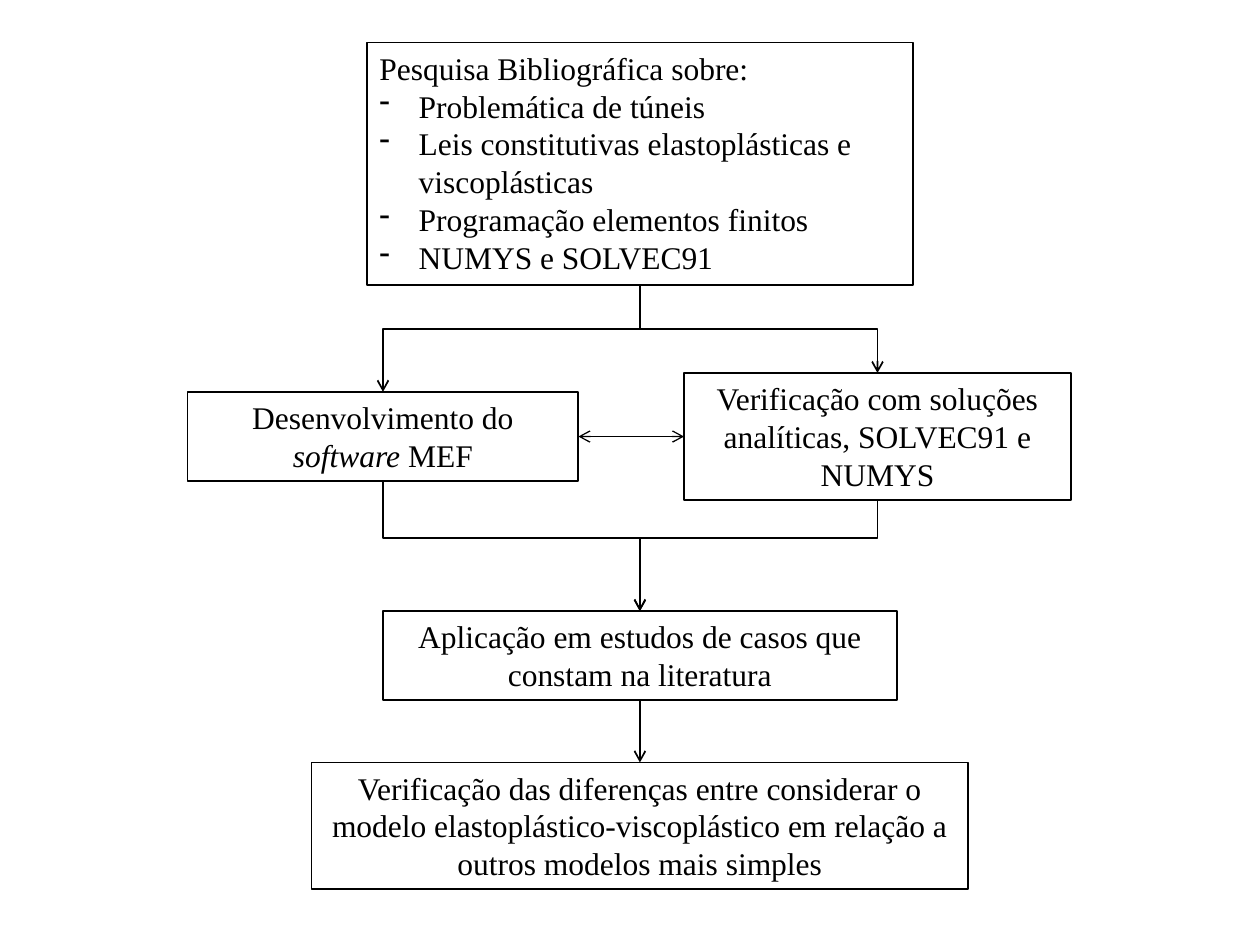
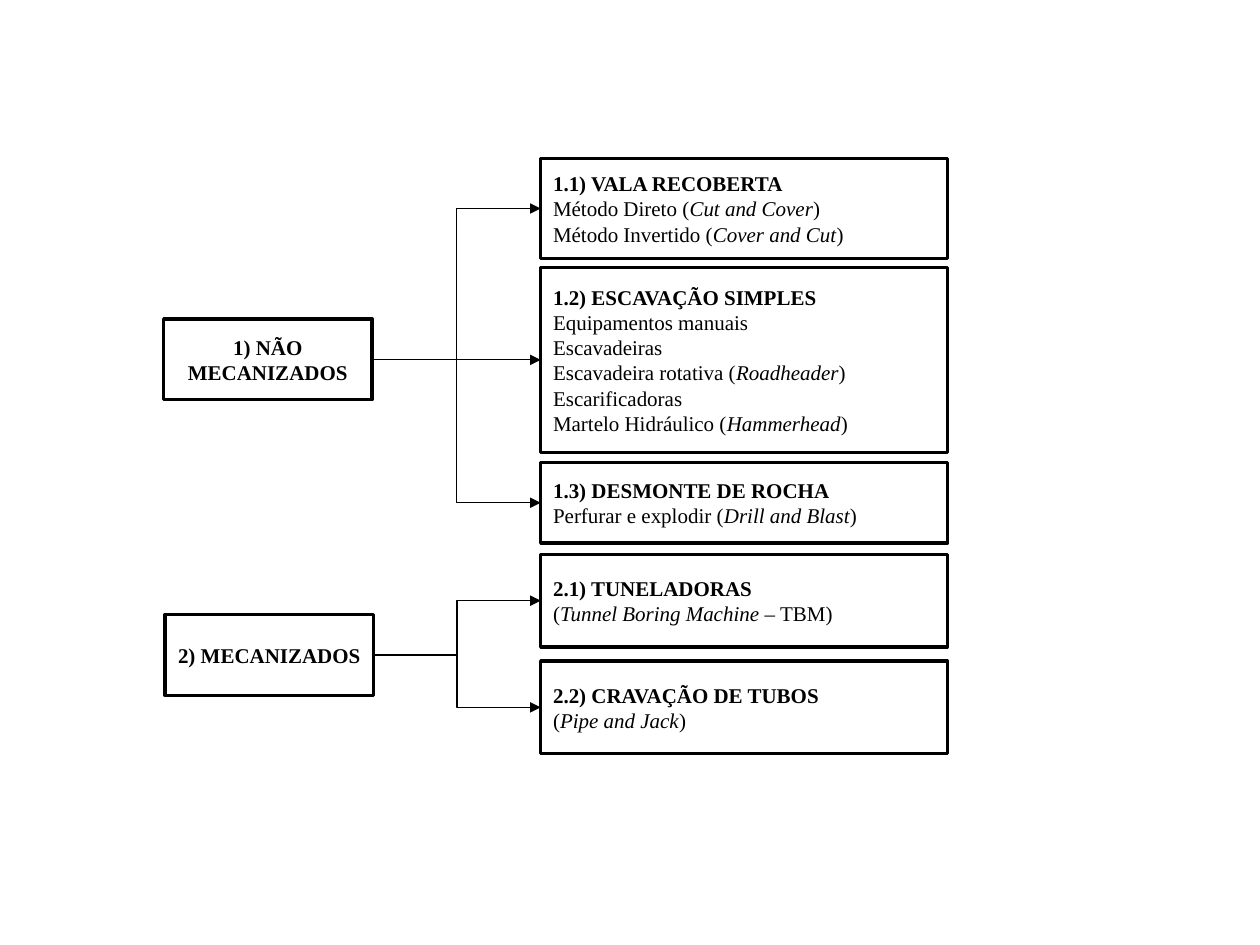
import pptx
import pptx.util
import pptx.dml.color
import pptx.enum.shapes
import pptx.enum.text
import pptx.oxml.ns
import lxml.etree

Cm = pptx.util.Cm
Pt = pptx.util.Pt
color = pptx.dml.color.RGBColor.from_string
qn = pptx.oxml.ns.qn
Align = pptx.enum.text.PP_ALIGN
Anchor = pptx.enum.text.MSO_ANCHOR
Fit = pptx.enum.text.MSO_AUTO_SIZE
Link = pptx.enum.shapes.MSO_CONNECTOR

INK = "000000"
PAPER = "FFFFFF"
FONT = "Times New Roman"
TOP, LEFT, BOTTOM, RIGHT = range(4)

STEP = {"size": 18, "line": 1, "bold_title": False,
        "frame": {"word_wrap": True, "vertical_anchor": Anchor.TOP,
                  "auto_size": Fit.SHAPE_TO_FIT_TEXT}}
METHOD = {"size": 12, "line": 2, "bold_title": True,
          "frame": {"word_wrap": True, "vertical_anchor": Anchor.MIDDLE,
                    "auto_size": Fit.NONE}}


def add_box(slide, left, top, width, height, lines, style, align):
    box = slide.shapes.add_shape(pptx.enum.shapes.MSO_SHAPE.RECTANGLE,
                                 Cm(left), Cm(top), Cm(width), Cm(height))
    box.shadow.inherit = False
    box.fill.solid()
    box.fill.fore_color.rgb = color(PAPER)
    box.line.color.rgb = color(INK)
    box.line.width = Pt(style["line"])
    frame = box.text_frame
    for key, value in style["frame"].items():
        setattr(frame, key, value)
    for number, line in enumerate(lines):
        paragraph = frame.add_paragraph() if number else frame.paragraphs[0]
        paragraph.alignment = align
        if line.startswith("- "):
            line = line[2:]
            properties = paragraph._p.get_or_add_pPr()
            properties.set("marL", str(Cm(0.79)))
            properties.set("indent", str(-Cm(0.79)))
            lxml.etree.SubElement(properties, qn("a:buChar")).set("char", "-")
        for part, words in enumerate(line.split("*")):
            run = paragraph.add_run()
            run.text = words
            run.font.color.rgb = color(INK)
            letters = {"name": FONT, "size": Pt(style["size"]),
                       "italic": part % 2 == 1,
                       "bold": style["bold_title"] and number == 0}
            for key, value in letters.items():
                setattr(run.font, key, value)
    return box


def link(slide, kind, start, start_side, end, end_side, width, ends, bus=None):
    arrow = slide.shapes.add_connector(kind, 0, 0, 0, 0)
    arrow.begin_connect(start, start_side)
    arrow.end_connect(end, end_side)
    arrow.line.color.rgb = color(INK)
    arrow.line.width = Pt(width)
    shape_xml = arrow._element.spPr
    for tag, head in ends.items():
        lxml.etree.SubElement(shape_xml.find(qn("a:ln")), qn(tag)).set("type", head)
    lxml.etree.SubElement(shape_xml, qn("a:effectLst"))
    if bus is None:
        return
    across = arrow.end_x - arrow.begin_x
    down = arrow.end_y - arrow.begin_y
    bend = (Cm(bus) - arrow.begin_y) / down
    turned = {"left": (arrow.begin_x + arrow.end_x - down) // 2,
              "top": (arrow.begin_y + arrow.end_y - abs(across)) // 2,
              "width": down, "height": abs(across)}
    for key, value in turned.items():
        setattr(arrow, key, value)
    turn = shape_xml.find(qn("a:xfrm"))
    turn.set("rot", str((90 if across < 0 else 270) * 60000))
    turn.set("flipH", "0" if across < 0 else "1")
    guide = lxml.etree.SubElement(shape_xml.find(qn("a:prstGeom")).find(qn("a:avLst")), qn("a:gd"))
    guide.set("name", "adj1")
    guide.set("fmla", f"val {round(bend * 100000)}")


deck = pptx.Presentation()
deck.slide_width = Cm(25.4)
deck.slide_height = Cm(19.05)
blank = deck.slide_layouts[6]

workflow = deck.slides.add_slide(blank)
axis = 12.9
research = add_box(workflow, axis - 5.5, 0.86, 11, 4.88, [
    "Pesquisa Bibliográfica sobre:",
    "- Problemática de túneis",
    "- Leis constitutivas elastoplásticas e viscoplásticas",
    "- Programação elementos finitos",
    "- NUMYS e SOLVEC91"], STEP, Align.LEFT)
development = add_box(workflow, 3.78, 7.9, 7.88, 1.8, [
    "Desenvolvimento do *software *MEF"], STEP, Align.CENTER)
verification = add_box(workflow, 13.79, 7.52, 7.8, 2.56, [
    "Verificação com soluções analíticas, SOLVEC91 e NUMYS"], STEP, Align.CENTER)
application = add_box(workflow, axis - 5.18, 12.32, 10.36, 1.8, [
    "Aplicação em estudos de casos que constam na literatura"], STEP, Align.CENTER)
comparison = add_box(workflow, axis - 6.62, 15.37, 13.24, 2.56, [
    "Verificação das diferenças entre considerar o modelo "
    "elastoplástico-viscoplástico em relação a outros modelos mais simples"],
    STEP, Align.CENTER)

forward = {"a:tailEnd": "arrow"}
both_ways = {"a:headEnd": "arrow", "a:tailEnd": "arrow"}
for branch in (development, verification):
    link(workflow, Link.ELBOW, research, BOTTOM, branch, TOP, 1, forward, 6.63)
    link(workflow, Link.ELBOW, branch, BOTTOM, application, TOP, 1, forward, 10.85)
link(workflow, Link.STRAIGHT, application, BOTTOM, comparison, TOP, 1, forward)
link(workflow, Link.STRAIGHT, development, RIGHT, verification, LEFT, 0.75, both_ways)

excavation = deck.slides.add_slide(blank)
families = [
    (3.3, 6.43, "1) NÃO MECANIZADOS", [
        (3.2, 2.01, ["1.1) VALA RECOBERTA",
                     "Método Direto (*Cut and Cover*)",
                     "Método Invertido (*Cover and Cut*)"]),
        (5.39, 3.73, ["1.2) ESCAVAÇÃO SIMPLES",
                      "Equipamentos manuais",
                      "Escavadeiras",
                      "Escavadeira rotativa (*Roadheader*)",
                      "Escarificadoras",
                      "Martelo Hidráulico (*Hammerhead*)"]),
        (9.32, 1.63, ["1.3) DESMONTE DE ROCHA",
                      "Perfurar e explodir (*Drill and Blast*)"])]),
    (3.33, 12.39, "2) MECANIZADOS", [
        (11.18, 1.86, ["2.1) TUNELADORAS",
                       "(*Tunnel Boring Machine* – TBM)"]),
        (13.33, 1.86, ["2.2) CRAVAÇÃO DE TUBOS",
                       "(*Pipe and Jack*)"])]),
]
for left, top, title, methods in families:
    family = add_box(excavation, left, top, 4.2, 1.63, [title], METHOD, Align.CENTER)
    for method_top, height, lines in methods:
        method = add_box(excavation, 10.9, method_top, 8.2, height, lines, METHOD, Align.LEFT)
        link(excavation, Link.ELBOW, family, RIGHT, method, LEFT, 0.75,
             {"a:tailEnd": "triangle"})

deck.save("out.pptx")
